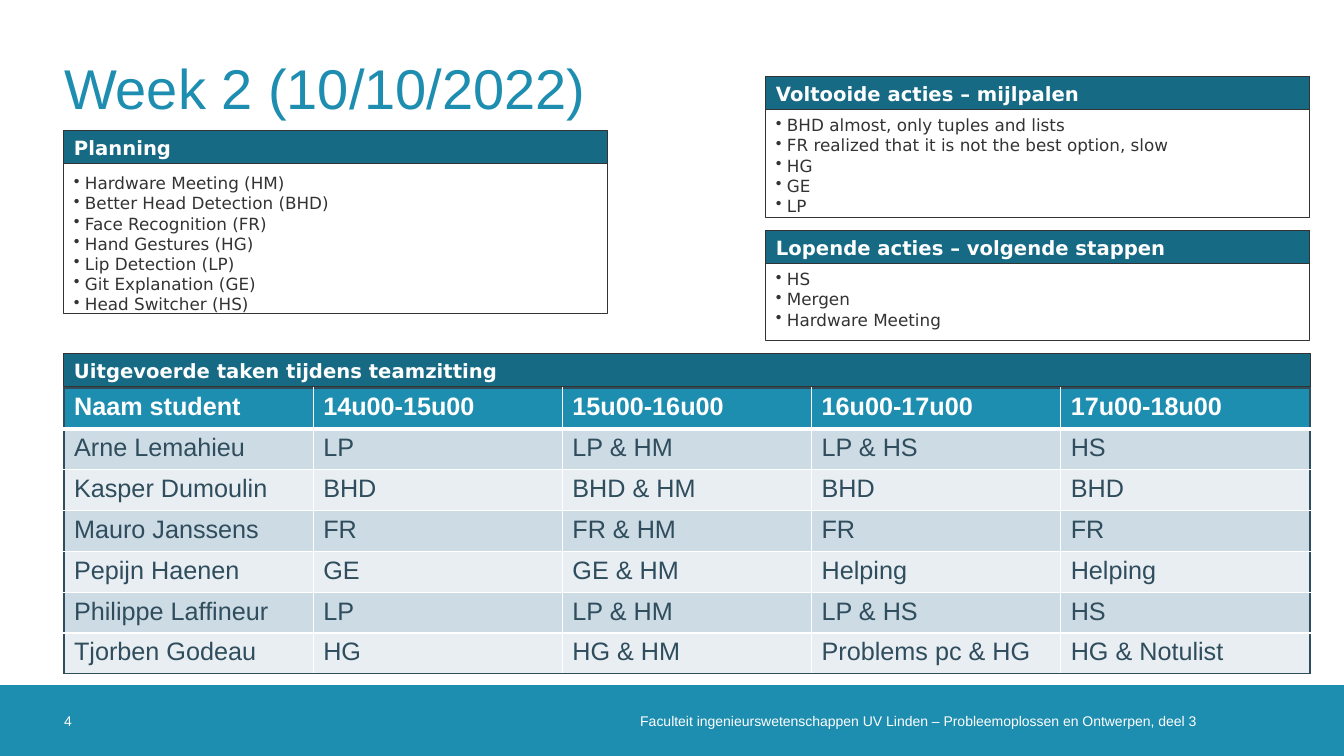
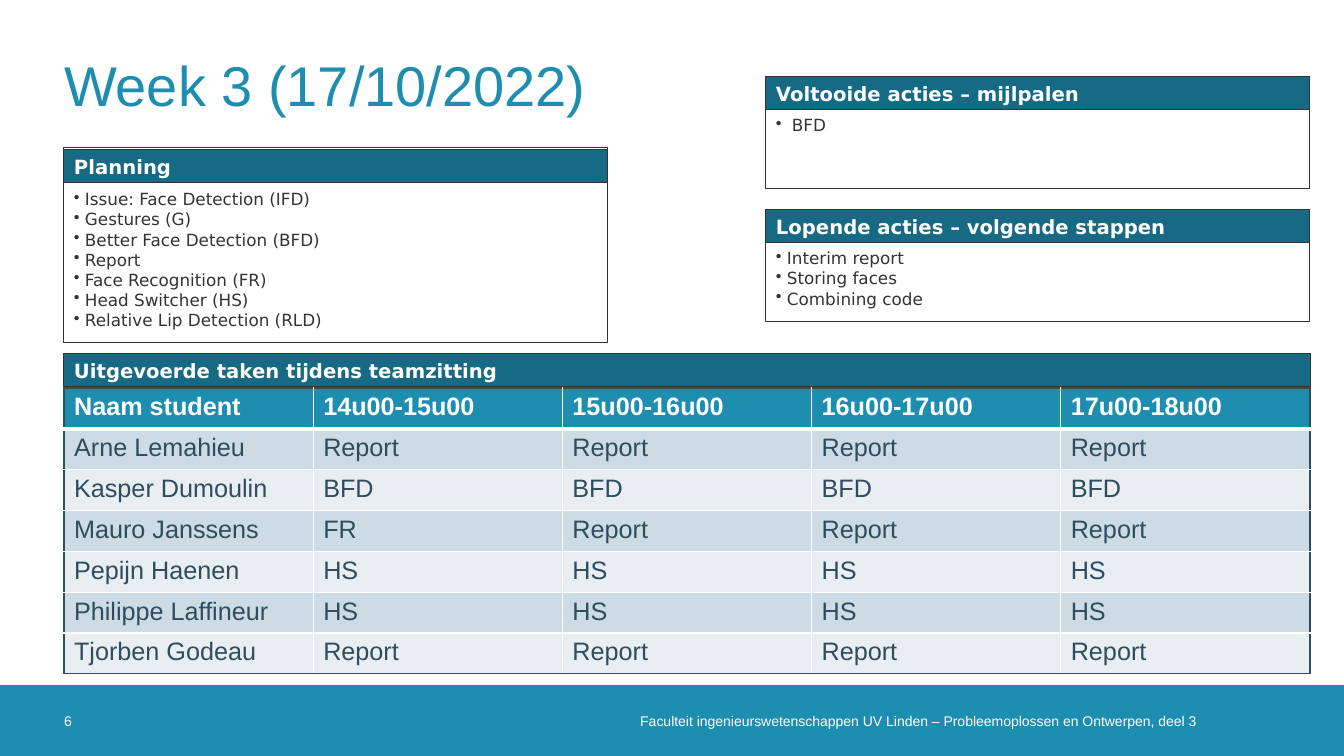
import dataclasses

import pptx
import pptx.dml.color
import pptx.enum.shapes
import pptx.enum.text
import pptx.oxml
import pptx.oxml.ns
import pptx.util
from lxml import etree

PX = 914400 / 100.8
ALIGN = pptx.enum.text.PP_ALIGN
ANCHOR = pptx.enum.text.MSO_ANCHOR
RECTANGLE = pptx.enum.shapes.MSO_SHAPE.RECTANGLE


@dataclasses.dataclass(frozen=True)
class Theme:
    accent: str = "1D8DB0"
    heading: str = "166A84"
    ink: str = "333333"
    table_ink: str = "2F4D5D"
    white: str = "FFFFFF"
    bands: tuple = ("E8EEF2", "CDDBE4")
    sans: str = "Arial"
    panel_font: str = "DejaVu Sans"
    title_size: int = 40
    table_size: int = 18
    heading_size: int = 14
    list_size: int = 12
    footer_size: int = 10
    list_leading: float = 14.4
    outline: float = 0.75


def px(length):
    return pptx.util.Emu(round(length * PX))


def rgb(code):
    return pptx.dml.color.RGBColor.from_string(code)


class Deck:
    def __init__(self, theme):
        self.theme = theme
        self.presentation = pptx.Presentation()
        self.presentation.slide_width = px(1344)
        self.presentation.slide_height = px(756)
        self.slide = None

    def add_slide(self, title, title_top, number):
        theme = self.theme
        layout = self.presentation.slide_layouts.get_by_name("Title Only")
        self.slide = self.presentation.slides.add_slide(layout)
        self.footer(number)
        shape = self.slide.shapes.title
        box = dict(zip(("left", "top", "width", "height"), map(px, (64, title_top, 1217, 127))))
        for name, value in box.items():
            setattr(shape, name, value)
        self.frame(shape, margins=(0, 0, 0, 0), anchor=ANCHOR.MIDDLE)
        self.put_text(shape.text_frame, [title], theme.sans, theme.title_size, theme.accent)

    # Text
    def frame(self, shape, margins=(10, 5, 10, 5), anchor=ANCHOR.TOP):
        formats = {"word_wrap": True, "vertical_anchor": anchor,
                   "auto_size": pptx.enum.text.MSO_AUTO_SIZE.NONE}
        for side, margin in zip(("left", "top", "right", "bottom"), margins):
            formats["margin_" + side] = px(margin)
        for name, value in formats.items():
            setattr(shape.text_frame, name, value)

    def put_text(self, text_frame, lines, font, size, color, bold=False, align=ALIGN.LEFT):
        formats = {"name": font, "size": pptx.util.Pt(size), "bold": bold}
        for index, line in enumerate(lines):
            paragraph = text_frame.add_paragraph() if index else text_frame.paragraphs[0]
            paragraph.alignment = align
            run = paragraph.add_run()
            run.text = line
            for name, value in formats.items():
                setattr(run.font, name, value)
            run.font.color.rgb = rgb(color)

    def text_box(self, box, lines, font, size, color, align=ALIGN.LEFT, **frame):
        shape = self.slide.shapes.add_textbox(*map(px, box))
        self.frame(shape, **frame)
        self.put_text(shape.text_frame, lines, font, size, color, align=align)
        return shape

    def bullets(self, box, lines, hang):
        theme = self.theme
        shape = self.text_box(box, lines, theme.panel_font, theme.list_size, theme.ink)
        for paragraph in shape.text_frame.paragraphs:
            paragraph.line_spacing = pptx.util.Pt(theme.list_leading)
            properties = paragraph._p.get_or_add_pPr()
            properties.set("marL", str(px(hang)))
            properties.set("indent", str(-px(hang)))
            etree.SubElement(properties, pptx.oxml.ns.qn("a:buChar")).set("char", "•")

    # Rectangles
    def rectangle(self, box, fill=None, line=None):
        shape = self.slide.shapes.add_shape(RECTANGLE, *map(px, box))
        shape.shadow.inherit = False
        if fill:
            shape.fill.solid()
            shape.fill.fore_color.rgb = rgb(fill)
        else:
            shape.fill.background()
        if line:
            shape.line.color.rgb = rgb(line)
            shape.line.width = pptx.util.Pt(self.theme.outline)
        else:
            shape.line.fill.background()
        return shape

    def heading(self, box, text):
        theme = self.theme
        shape = self.rectangle(box, theme.heading, theme.ink)
        self.frame(shape, anchor=ANCHOR.MIDDLE)
        self.put_text(shape.text_frame, [text], theme.panel_font, theme.heading_size,
                      theme.white, bold=True)

    def panel(self, title, lines, left, top, height, shift=0, text_gap=33, hang=11):
        width, heading_top = 544, top + shift
        text_top = heading_top + text_gap
        self.rectangle((left, top, width, height), line=self.theme.ink)
        self.heading((left, heading_top, width, 33), title)
        self.bullets((left, text_top, width, top + height - text_top), lines, hang)

    def footer(self, number):
        theme = self.theme
        top, height = 685, 71
        style = (theme.sans, theme.footer_size, theme.white)
        self.rectangle((0, top, 1344, height), theme.accent)
        self.text_box((633, top, 583, height), [FOOTER], *style, align=ALIGN.RIGHT,
                      margins=(0, 0, 20, 0), anchor=ANCHOR.MIDDLE)
        self.text_box((64, top, 71, height), [str(number)], *style,
                      margins=(0, 0, 0, 0), anchor=ANCHOR.MIDDLE)

    # Table
    def border(self, cell, side, color, points):
        cell._tc.get_or_add_tcPr().append(pptx.oxml.parse_xml(
            f'<a:ln{side} {pptx.oxml.ns.nsdecls("a")} w="{pptx.util.Pt(points)}">'
            f'<a:solidFill><a:srgbClr val="{color}"/></a:solidFill></a:ln{side}>'))

    def schedule(self, rows):
        theme = self.theme
        last_row, last_column = len(rows) - 1, len(rows[0]) - 1
        width, height = 1246, 286
        table = self.slide.shapes.add_table(
            len(rows), len(rows[0]), px(64), px(388), px(width), px(height)).table
        for column in table.columns:
            column.width = px(width / len(rows[0]))
        for row_index, row in enumerate(rows):
            table.rows[row_index].height = px(height / len(rows))
            header = row_index == 0
            for column_index, text in enumerate(row):
                cell = table.cell(row_index, column_index)
                outer = {"L": column_index == 0, "R": column_index == last_column,
                         "T": header, "B": row_index == last_row}
                for side, is_outer in outer.items():
                    under_header = (row_index, side) in ((0, "B"), (1, "T"))
                    self.border(cell, side, theme.table_ink if is_outer else theme.white,
                                3 if under_header else 1)
                cell.fill.solid()
                cell.fill.fore_color.rgb = rgb(theme.accent if header
                                               else theme.bands[row_index % 2])
                self.put_text(cell.text_frame, [text], theme.sans, theme.table_size,
                              theme.white if header else theme.table_ink, bold=header)
        self.heading((64, 354, 1247, 33), "Uitgevoerde taken tijdens teamzitting")


FOOTER = "Faculteit ingenieurswetenschappen UV Linden – Probleemoplossen en Ontwerpen, deel 3"
HOURS = ["Naam student", "14u00-15u00", "15u00-16u00", "16u00-17u00", "17u00-18u00"]
STUDENTS = ["Arne Lemahieu", "Kasper Dumoulin", "Mauro Janssens",
            "Pepijn Haenen", "Philippe Laffineur", "Tjorben Godeau"]
PLANNING, DONE, NEXT = "Planning", "Voltooide acties – mijlpalen", "Lopende acties – volgende stappen"
LEFT, RIGHT = 64, 766

WEEKS = [
    {
        "slide": ("Week 2 (10/10/2022)", 24, 4),
        "panels": [
            dict(title=PLANNING, left=LEFT, top=134, height=180, shift=-3, text_gap=37,
                 lines=["Hardware Meeting (HM)", "Better Head Detection (BHD)",
                        "Face Recognition (FR)", "Hand Gestures (HG)", "Lip Detection (LP)",
                        "Git Explanation (GE)", "Head Switcher (HS)"]),
            dict(title=DONE, left=RIGHT, top=77, height=141,
                 lines=["BHD almost, only tuples and lists",
                        "FR realized that it is not the best option, slow", "HG", "GE", "LP"]),
            dict(title=NEXT, left=RIGHT, top=231, height=110,
                 lines=["HS", "Mergen", "Hardware Meeting"]),
        ],
        "tasks": [
            ["LP", "LP & HM", "LP & HS", "HS"],
            ["BHD", "BHD & HM", "BHD", "BHD"],
            ["FR", "FR & HM", "FR", "FR"],
            ["GE", "GE & HM", "Helping", "Helping"],
            ["LP", "LP & HM", "LP & HS", "HS"],
            ["HG", "HG & HM", "Problems pc & HG", "HG & Notulist"],
        ],
    },
    {
        "slide": ("Week 3 (17/10/2022)", 21, 6),
        "panels": [
            dict(title=PLANNING, left=LEFT, top=148, height=195, shift=2, text_gap=34,
                 lines=["Issue: Face Detection (IFD)", "Gestures (G)",
                        "Better Face Detection (BFD)", "Report", "Face Recognition (FR)",
                        "Head Switcher (HS)", "Relative Lip Detection (RLD)"]),
            dict(title=DONE, left=RIGHT, top=77, height=112, lines=["BFD"], hang=16),
            dict(title=NEXT, left=RIGHT, top=210, height=112,
                 lines=["Interim report", "Storing faces", "Combining code"]),
        ],
        "tasks": [
            ["Report"] * 4,
            ["BFD"] * 4,
            ["FR"] + ["Report"] * 3,
            ["HS"] * 4,
            ["HS"] * 4,
            ["Report"] * 4,
        ],
    },
]


def main():
    deck = Deck(Theme())
    for week in WEEKS:
        deck.add_slide(*week["slide"])
        for panel in week["panels"]:
            deck.panel(**panel)
        deck.schedule([HOURS] + [[name, *tasks] for name, tasks in zip(STUDENTS, week["tasks"])])
    deck.presentation.save("out.pptx")


if __name__ == "__main__":
    main()
